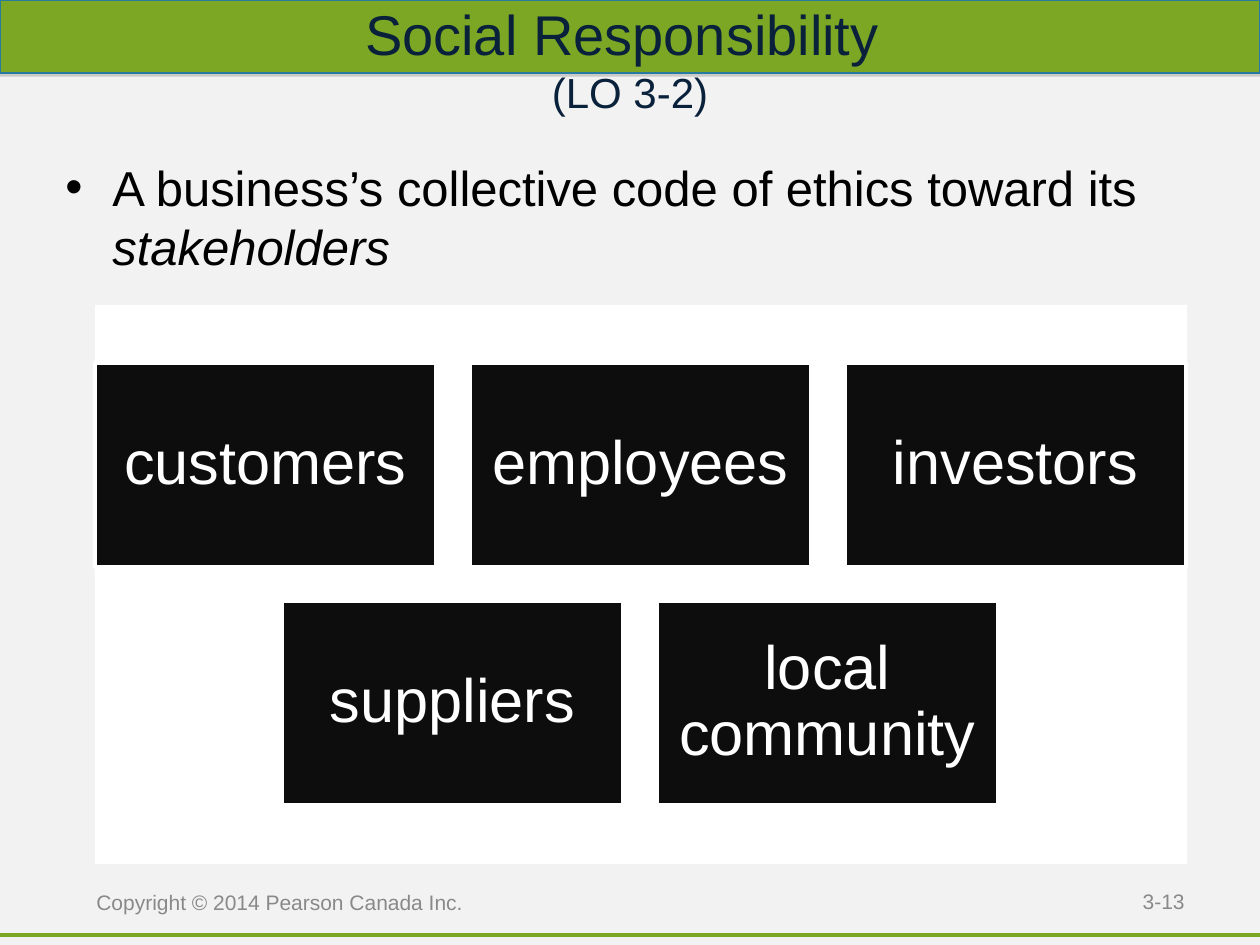
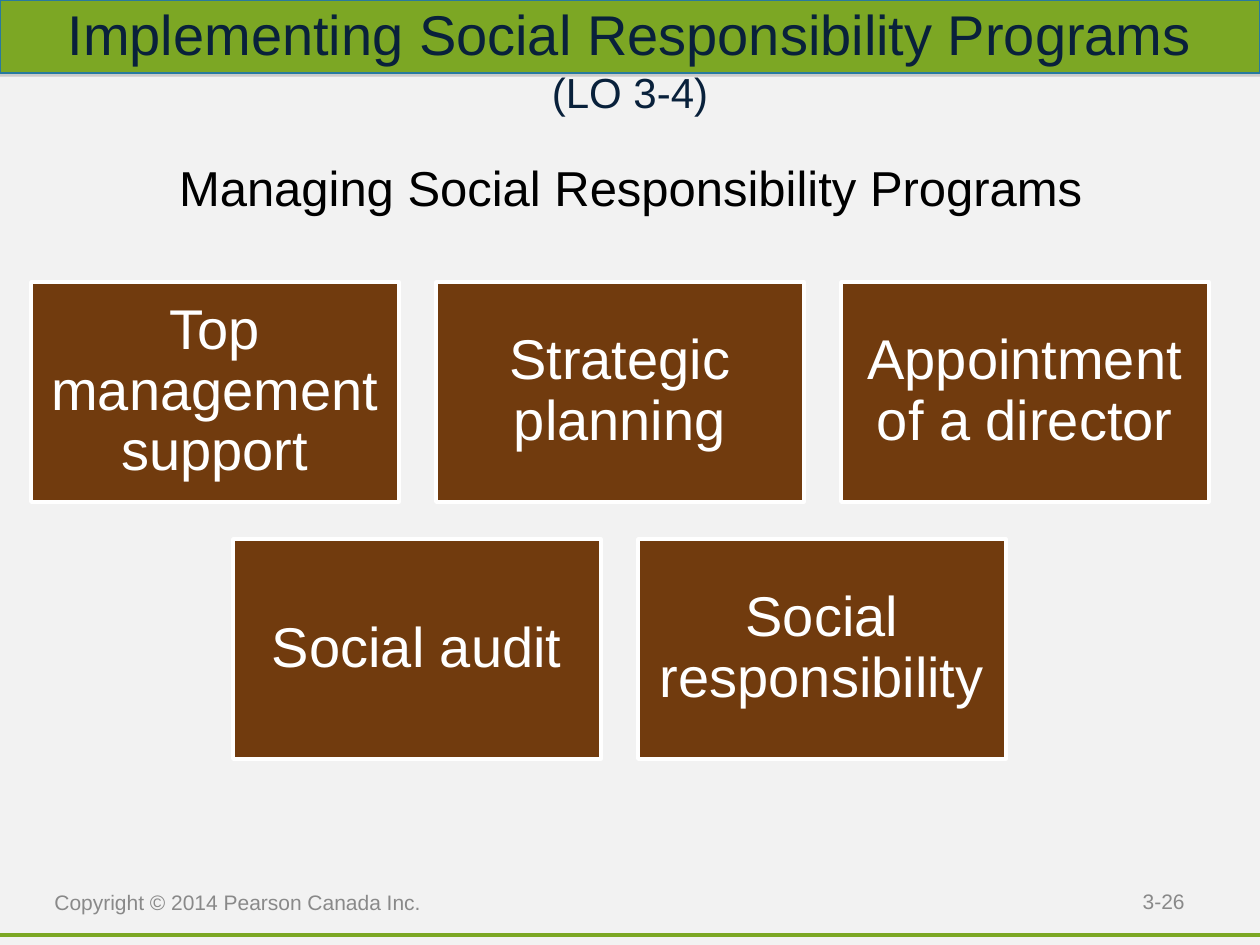
from lxml import etree
from pptx import Presentation
from pptx.dml.color import RGBColor
from pptx.enum.shapes import MSO_CONNECTOR, MSO_SHAPE
from pptx.enum.text import MSO_ANCHOR, MSO_AUTO_SIZE, PP_ALIGN
from pptx.oxml import parse_xml
from pptx.oxml.ns import nsdecls, qn
from pptx.util import Pt

PX = 914400 / 126
FONT = "Arial"
COLORS = {
    "background": "F2F2F2",
    "green": "7CA724",
    "band_line": "287A9E",
    "title": "09213B",
    "body": "000000",
    "footer": "898989",
    "white": "FFFFFF",
    "black": "0D0D0D",
    "brown": "713B0E",
}

PAGES = [
    {
        "title": "Social Responsibility ", "objective": "(LO 3-2)", "break": True,
        "lead": [("A business’s collective code of ethics toward its ", False), ("stakeholders", True)],
        "bullet": True, "footer_left": 84, "number": "3-13",
        "panel": (95, 305, 1092, 559),
        "tiles": ["customers", "employees", "investors", "suppliers", "local community"],
        "left": 95, "top": 363, "width": 341, "height": 204, "gap": 34,
        "inset": 19, "size": 35, "fill": "black",
    },
    {
        "title": "Implementing Social Responsibility Programs ", "objective": "(LO 3-4)", "break": False,
        "lead": [("Managing Social Responsibility Programs", False)],
        "bullet": False, "footer_left": 42, "number": "3-26",
        "panel": None,
        "tiles": ["Top management support", "Strategic planning", "Appointment of a director",
                  "Social audit", "Social responsibility"],
        "left": 31, "top": 282, "width": 368, "height": 220, "gap": 37,
        "inset": 16, "size": 32, "fill": "brown",
    },
]


def style(paragraph, size, color, align=PP_ALIGN.LEFT):
    paragraph.alignment = align
    paragraph.font.name = FONT
    paragraph.font.size = Pt(size)
    paragraph.font.color.rgb = RGBColor.from_string(COLORS[color])


def add_rectangle(slide, box, fill, line=None, line_width=2):
    shape = slide.shapes.add_shape(MSO_SHAPE.RECTANGLE, *[round(n * PX) for n in box])
    shape.shadow.inherit = False
    shape.fill.solid()
    shape.fill.fore_color.rgb = RGBColor.from_string(COLORS[fill])
    if line:
        shape.line.color.rgb = RGBColor.from_string(COLORS[line])
        shape.line.width = Pt(line_width)
    else:
        shape.line.fill.background()
    return shape


presentation = Presentation()
presentation.slide_width = round(1260 * PX)
presentation.slide_height = round(945 * PX)
layout = presentation.slide_layouts[5]
layout.background.fill.solid()
layout.background.fill.fore_color.rgb = RGBColor.from_string(COLORS["background"])
slides = [presentation.slides.add_slide(layout) for page in PAGES]

rule = slides[0].shapes.add_connector(
    MSO_CONNECTOR.STRAIGHT, 0, round(935 * PX), round(1260 * PX), round(935 * PX))
rule.line.color.rgb = RGBColor.from_string(COLORS["green"])
rule.line.width = Pt(2)
etree.SubElement(rule._element.spPr, qn("a:effectLst"))

band = add_rectangle(slides[0], (0, 0, 1260, 73), "green", "band_line", 0.75)
band._element.spPr.find(qn("a:effectLst")).append(parse_xml(
    f'<a:outerShdw {nsdecls("a")} blurRad="0" dist="22860" dir="5400000" rotWithShape="0">'
    '<a:srgbClr val="808080"><a:alpha val="35000"/></a:srgbClr></a:outerShdw>'))
for shared in (rule, band):
    layout.shapes._spTree.append(shared._element)

for slide, page in zip(slides, PAGES):
    title = slide.shapes.title
    title.left, title.top, title.width, title.height = 0, 0, round(1260 * PX), round(116 * PX)
    frame = title.text_frame
    frame.word_wrap = True
    frame.auto_size = MSO_AUTO_SIZE.NONE
    frame.vertical_anchor = MSO_ANCHOR.MIDDLE
    frame.margin_left = frame.margin_right = frame.margin_top = frame.margin_bottom = round(31.5 * PX)
    paragraph = frame.paragraphs[0]
    style(paragraph, 32, "title", PP_ALIGN.CENTER)
    paragraph.add_run().text = page["title"]
    if page["break"]:
        paragraph.add_line_break()
    objective = paragraph.add_run()
    objective.text = page["objective"]
    objective.font.size = Pt(24)

    lead_align = PP_ALIGN.LEFT if page["bullet"] else PP_ALIGN.CENTER
    captions = [
        (page["lead"], (53, 151, 1155, 147 if page["bullet"] else 73),
         28, "body", lead_align, MSO_ANCHOR.TOP, page["bullet"]),
        ([("Copyright © 2014 Pearson Canada Inc.", False)], (page["footer_left"], 882, 410, 40),
         12, "footer", PP_ALIGN.LEFT, MSO_ANCHOR.MIDDLE, False),
        ([(page["number"], False)], (903, 876, 294, 50),
         12, "footer", PP_ALIGN.RIGHT, MSO_ANCHOR.MIDDLE, False),
    ]
    for runs, box, size, color, align, anchor, bullet in captions:
        frame = slide.shapes.add_textbox(*[round(n * PX) for n in box]).text_frame
        frame.word_wrap = True
        frame.vertical_anchor = anchor
        paragraph = frame.paragraphs[0]
        if bullet:
            properties = paragraph._p.get_or_add_pPr()
            properties.set("marL", str(round(47 * PX)))
            properties.set("indent", str(round(-47 * PX)))
            etree.SubElement(properties, qn("a:buFont"), typeface=FONT)
            etree.SubElement(properties, qn("a:buChar"), char="•")
        style(paragraph, size, color, align)
        for text, italic in runs:
            run = paragraph.add_run()
            run.text = text
            if italic:
                run.font.italic = True

    if page["panel"]:
        add_rectangle(slide, page["panel"], "white")

    step = page["width"] + page["gap"]
    for index, label in enumerate(page["tiles"]):
        row, column = divmod(index, 3)
        box = (page["left"] + column * step + row * step // 2,
               page["top"] + row * (page["height"] + page["gap"]),
               page["width"], page["height"])
        tile = add_rectangle(slide, box, page["fill"], "white")
        frame = tile.text_frame
        frame.word_wrap = True
        frame.vertical_anchor = MSO_ANCHOR.MIDDLE
        frame.margin_left = frame.margin_right = round(page["inset"] * PX)
        frame.margin_top = frame.margin_bottom = round(page["inset"] * PX)
        paragraph = frame.paragraphs[0]
        paragraph.text = label
        paragraph.line_spacing = 0.9
        style(paragraph, page["size"], "white", PP_ALIGN.CENTER)

presentation.save("out.pptx")
